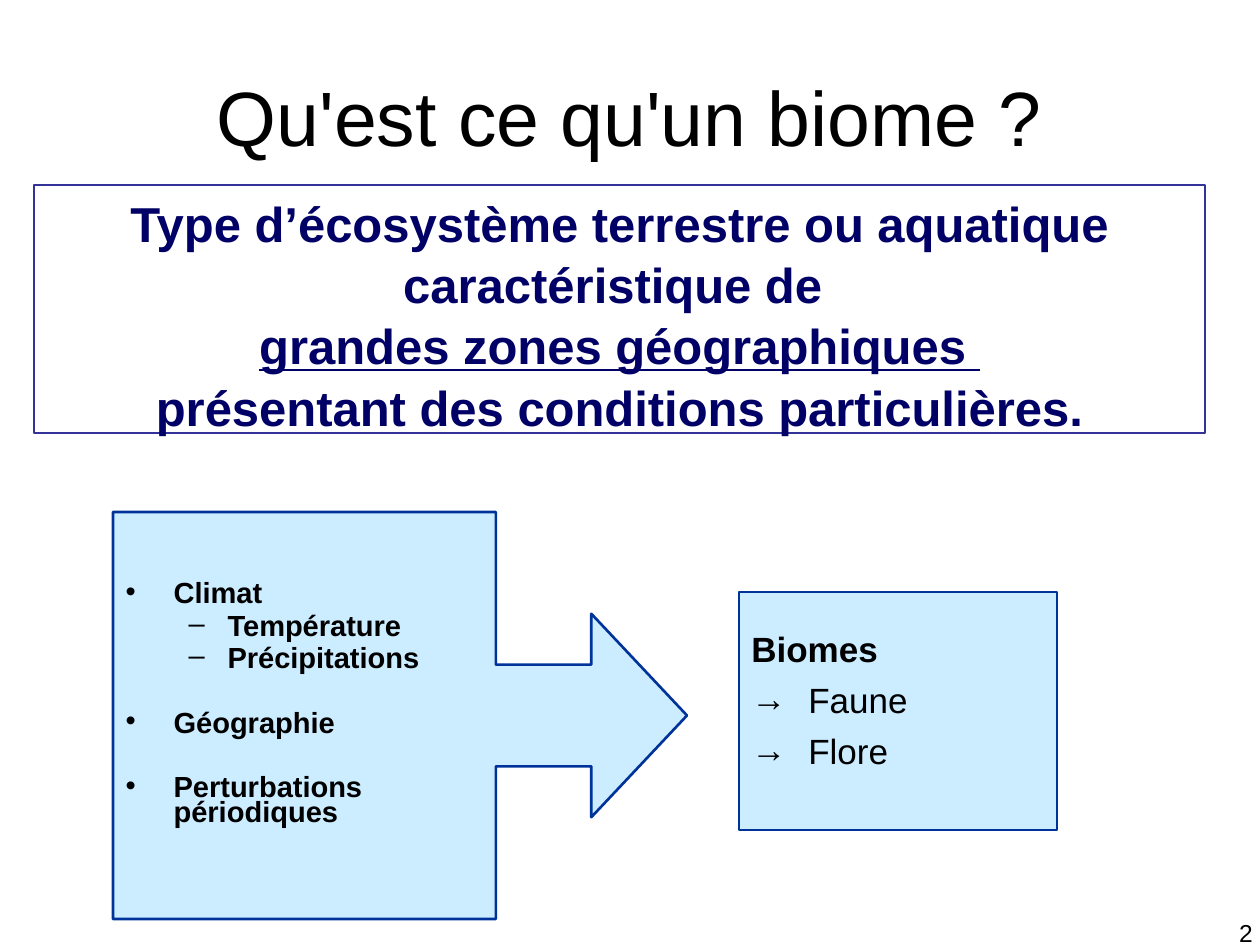
from lxml.etree import SubElement
from pptx import Presentation
from pptx.dml.color import RGBColor
from pptx.enum.shapes import MSO_SHAPE as Shape
from pptx.enum.text import MSO_ANCHOR as Anchor, MSO_AUTO_SIZE as AutoSize, PP_ALIGN as Align
from pptx.oxml.ns import qn
from pptx.util import Pt

PX = 914400 / 126
BLACK = RGBColor(0x00, 0x00, 0x00)
NAVY = RGBColor(0x00, 0x00, 0x66)
INDIGO = RGBColor(0x33, 0x33, 0x99)
BLUE = RGBColor(0x00, 0x33, 0x99)
PALE_BLUE = RGBColor(0xCC, 0xEC, 0xFF)

TITLE = "Qu'est ce qu'un biome ?"
DEFINITION = (
    "Type d’écosystème terrestre ou aquatique caractéristique de \v"
    "grandes zones géographiques \v"
    "présentant des conditions particulières."
)
FACTORS = [
    ("Climat", 0, 0),
    ("Température", 1, 4.5),
    ("Précipitations", 1, 4.5),
    ("Géographie", 0, 23),
    ("Perturbations\vpériodiques", 0, 23),
]
FACTOR_BULLETS = [("•", 48, 48), ("–", 102, 39)]
RESULT_HEADING = "Biomes"
RESULTS = ["Faune", "Flore"]
PAGE_NUMBER = "2"


def emu(pixels):
    return round(pixels * PX)


def place(shape, left, top, width, height):
    shape.left, shape.top = emu(left), emu(top)
    shape.width, shape.height = emu(width), emu(height)


def add_panel(slide, kind, box, line, fill=None):
    shape = slide.shapes.add_shape(kind, *map(emu, box))
    shape.shadow.inherit = False
    if fill is None:
        shape.fill.background()
    else:
        shape.fill.solid()
        shape.fill.fore_color.rgb = fill
    shape.line.color.rgb = line
    shape.line.width = Pt(1.5)
    shape.text_frame.vertical_anchor = Anchor.TOP
    return shape


def set_bullet(paragraph, character, margin, hanging):
    properties = paragraph._p.get_or_add_pPr()
    properties.set("marL", str(emu(margin)))
    properties.set("indent", str(-emu(hanging)))
    SubElement(properties, qn("a:buFont"), typeface="Arial")
    SubElement(properties, qn("a:buChar"), char=character)


def style(paragraph, size, align=Align.LEFT, color=BLACK, bold=False):
    paragraph.alignment = align
    for font in [paragraph.font] + [run.font for run in paragraph.runs]:
        font.name = "Arial"
        font.size = Pt(size)
        font.bold = bold
        font.color.rgb = color


def next_paragraph(frame, index):
    return frame.add_paragraph() if index else frame.paragraphs[0]


def add_definition(slide):
    panel = add_panel(slide, Shape.RECTANGLE, (34, 185, 1171, 248), INDIGO)
    panel.text_frame.word_wrap = True
    paragraph = panel.text_frame.paragraphs[0]
    paragraph.text = DEFINITION
    paragraph.line_spacing = 1.04
    style(paragraph, 28, Align.CENTER, NAVY, True)
    paragraph.runs[1].font.underline = True


def add_title(slide):
    title = slide.shapes.title
    place(title, 63, 74, 1134, 84)
    frame = title.text_frame
    frame.text = TITLE
    frame.auto_size = AutoSize.NONE
    frame.vertical_anchor = Anchor.MIDDLE
    style(frame.paragraphs[0], 44, Align.CENTER)


def add_factors(slide):
    callout = add_panel(slide, Shape.RIGHT_ARROW_CALLOUT, (113, 512, 574, 407), BLUE, PALE_BLUE)
    for index, value in enumerate((0.25, 0.25, 0.235, 0.667)):
        callout.adjustments[index] = value

    body = slide.placeholders[1]
    place(body, 113, 578, 358, 292)
    slide.shapes._spTree.append(body._element)
    frame = body.text_frame
    frame.auto_size = AutoSize.NONE
    for index, (text, level, space) in enumerate(FACTORS):
        paragraph = next_paragraph(frame, index)
        paragraph.text = text
        paragraph.level = level
        paragraph.line_spacing = 0.7
        paragraph.space_before = Pt(space)
        set_bullet(paragraph, *FACTOR_BULLETS[level])
        style(paragraph, 16.6, bold=True)


def add_results(slide):
    panel = add_panel(slide, Shape.RECTANGLE, (739, 592, 318, 238), BLUE, PALE_BLUE)
    frame = panel.text_frame
    frame.word_wrap = True
    heading = frame.paragraphs[0]
    heading.text = RESULT_HEADING
    heading.line_spacing = 1.7
    style(heading, 20, bold=True)
    for text in RESULTS:
        paragraph = frame.add_paragraph()
        paragraph.text = text
        paragraph.space_before = Pt(5)
        set_bullet(paragraph, "→", 57, 57)
        style(paragraph, 20)


def add_page_number(slide):
    frame = slide.shapes.add_textbox(*map(emu, (971, 912, 294, 66))).text_frame
    frame.word_wrap = True
    frame.text = PAGE_NUMBER
    style(frame.paragraphs[0], 14, Align.RIGHT)


def main():
    presentation = Presentation()
    presentation.slide_width, presentation.slide_height = emu(1260), emu(945)
    slide = presentation.slides.add_slide(presentation.slide_layouts[1])
    add_definition(slide)
    add_title(slide)
    add_factors(slide)
    add_results(slide)
    add_page_number(slide)
    presentation.save("out.pptx")


if __name__ == "__main__":
    main()
